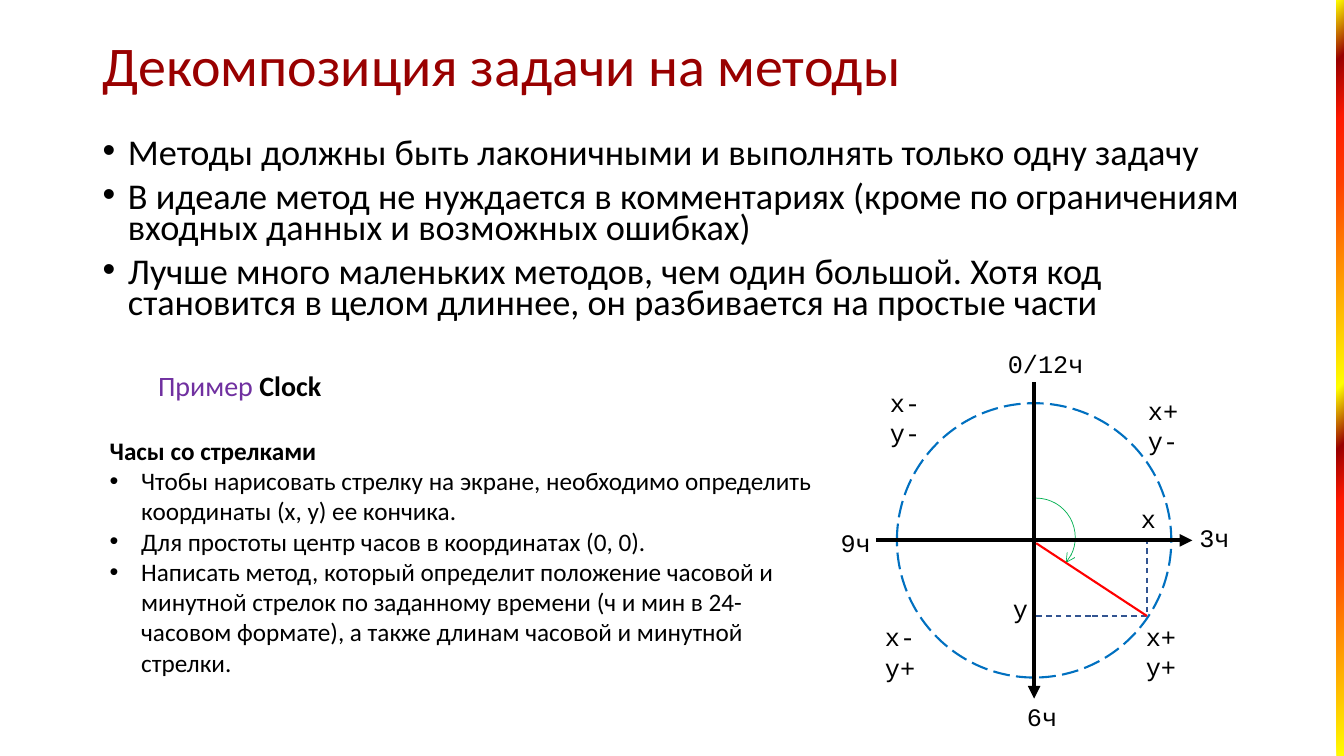
from dataclasses import dataclass
from lxml.etree import SubElement
from pptx import Presentation
from pptx.dml.color import RGBColor
from pptx.enum.dml import MSO_LINE
from pptx.enum.shapes import MSO_CONNECTOR, MSO_SHAPE
from pptx.enum.text import MSO_ANCHOR, MSO_AUTO_SIZE, PP_ALIGN
from pptx.oxml import parse_xml
from pptx.oxml.ns import nsdecls, qn
from pptx.util import Pt


@dataclass(frozen=True)
class Theme:
    sans: str = "Calibri"
    mono: str = "Courier New"
    head: float = 40
    list: float = 25.9
    lead: float = 20
    text: float = 18
    black: str = "000000"
    wine: str = "990000"
    violet: str = "7030A0"
    blue: str = "0070C0"
    navy: str = "325491"
    red: str = "FF0000"
    green: str = "00B050"
    flame: tuple = ((0, "FFFF00"), (27, "FF3D00"), (34, "FF1900"),
                    (41, "990000"), (49, "FFFF00"), (76, "FF3D00"),
                    (84, "FF1900"), (92, "990000"), (100, "FFFF00"))


theme = Theme()


def write(frame, rows, size, name=theme.sans, form=None, indent=0):
    frame.word_wrap = True
    for i, row in enumerate(rows):
        par = frame.paragraphs[0] if i == 0 else frame.add_paragraph()
        for key, value in (form or {}).items():
            setattr(par, key, value)
        if i == 0:
            par.space_before = Pt(0)
        words, color, bold, dot = row[0]
        if dot:
            props = par._p.get_or_add_pPr()
            props.set("marL", str(Pt(indent)))
            props.set("indent", str(-Pt(indent)))
            SubElement(props, qn("a:buFont"), typeface="Arial")
            SubElement(props, qn("a:buChar"), char="•")
        for words, color, bold, dot in row:
            run = par.add_run()
            run.text = words
            style = {"size": Pt(size), "name": name, "bold": bold}
            for key, value in style.items():
                setattr(run.font, key, value)
            run.font.color.rgb = RGBColor.from_string(color)


def stroke(item, color, width, dash=None, head=None):
    item.line.color.rgb = RGBColor.from_string(color)
    item.line.width = Pt(width)
    if dash:
        item.line.dash_style = dash
    if head:
        SubElement(item.line._get_or_add_ln(), qn("a:tailEnd"), type=head)


deck = Presentation()
deck.slide_width, deck.slide_height = Pt(960), Pt(540)
slide = deck.slides.add_slide(deck.slide_layouts[1])
shapes = slide.shapes

strip = shapes.add_shape(MSO_SHAPE.RECTANGLE, Pt(954.8), 0, Pt(5.2), Pt(540))
strip.shadow.inherit = False
stops = "".join(f'<a:gs pos="{pos * 1000}"><a:srgbClr val="{color}"/></a:gs>'
                for pos, color in theme.flame)
strip._element.spPr.insert(2, parse_xml(
    f'<a:gradFill {nsdecls("a")}><a:gsLst>{stops}</a:gsLst>'
    '<a:lin ang="13500000" scaled="0"/></a:gradFill>'))
strip.line.fill.background()

title, body = shapes.title, slide.placeholders[1]
for holder, top, height in ((title, 10.8, 76.3), (body, 97.2, 141.1)):
    place = {"left": 66.2, "top": top, "width": 828, "height": height}
    for key, value in place.items():
        setattr(holder, key, Pt(value))
    holder.text_frame.auto_size = MSO_AUTO_SIZE.NONE
title.text_frame.vertical_anchor = MSO_ANCHOR.MIDDLE
write(title.text_frame,
      [[("Декомпозиция задачи на методы", theme.wine, False, False)]],
      theme.head, form={"alignment": PP_ALIGN.LEFT, "line_spacing": 0.9})

rules = [
    "Методы должны быть лаконичными и выполнять только одну задачу",
    "В идеале метод не нуждается в комментариях (кроме по ограничениям "
    "входных данных и возможных ошибках)",
    "Лучше много маленьких методов, чем один большой. Хотя код становится "
    "в целом длиннее, он разбивается на простые части",
]
write(body.text_frame, [[(rule, theme.black, False, True)] for rule in rules],
      theme.list, form={"line_spacing": 0.7, "space_before": Pt(10)}, indent=18)

mid_x, mid_y, reach, radius, turn = 738.7, 386, 113, 98, 28
tip_x, tip_y = mid_x + 80.6, mid_y + 54

rounds = (
    (MSO_SHAPE.RECTANGLE, mid_x, mid_y, 80.6, 54,
     theme.navy, 1, MSO_LINE.DASH, None),
    (MSO_SHAPE.OVAL, mid_x - radius, mid_y - radius, 2 * radius, 2 * radius,
     theme.blue, 1.5, MSO_LINE.LONG_DASH, None),
    (MSO_SHAPE.ARC, mid_x + 1.4 - turn, mid_y - 2.2 - turn, 2 * turn, 2 * turn,
     theme.green, 0.5, None, "arrow"),
)
for kind, left, top, width, height, color, weight, dash, head in rounds:
    shape = shapes.add_shape(kind, Pt(left), Pt(top), Pt(width), Pt(height))
    shape.shadow.inherit = False
    shape.fill.background()
    if kind == MSO_SHAPE.ARC:
        shape.adjustments[0], shape.adjustments[1] = 162, 24.431
    stroke(shape, color, weight, dash, head)

lines = (
    (mid_x - reach, mid_y, mid_x + reach, mid_y, theme.black, 3, "triangle"),
    (mid_x, mid_y - reach, mid_x, mid_y + reach, theme.black, 3, "triangle"),
    (mid_x + 1.4, mid_y + 2, tip_x, tip_y, theme.red, 1.5, None),
)
for x1, y1, x2, y2, color, weight, head in lines:
    line = shapes.add_connector(MSO_CONNECTOR.STRAIGHT,
                                Pt(x1), Pt(y1), Pt(x2), Pt(y2))
    stroke(line, color, weight, head=head)
    SubElement(line._element.spPr, qn("a:effectLst"))

tasks = [
    "Чтобы нарисовать стрелку на экране, необходимо определить координаты "
    "(x, y) ее кончика.",
    "Для простоты центр часов в координатах (0, 0).",
    "Написать метод, который определит положение часовой и минутной стрелок "
    "по заданному времени (ч и мин в 24-часовом формате), а также длинам "
    "часовой и минутной стрелки.",
]
notes = [
    (text, left, top, width, height, theme.text, theme.mono)
    for text, left, top, width, height in (
        ("x", 807.8, 355.7, 38, 29), ("y", 716.4, 420.5, 38, 29),
        ("x+y+", 811.4, 440, 38, 51), ("x+y-", 812.9, 278.6, 38, 51),
        ("x-y-", 628.6, 272.9, 38, 51), ("x-y+", 625, 440.6, 38, 51),
        ("0/12ч", 712.8, 245.5, 70.6, 29), ("3ч", 849.6, 369.4, 70.6, 29),
        ("9ч", 593.3, 373, 70.6, 29), ("6ч", 726.5, 497.5, 70.6, 29))
]
blocks = [([[(text, theme.black, False, False)]], *rest)
          for text, *rest in notes]
blocks += [
    ([[("Пример ", theme.violet, False, False),
       ("Clock", theme.black, True, False)]],
     105.8, 260, 538.6, 31.7, theme.lead, theme.sans),
    ([[("Часы со стрелками", theme.black, True, False)]]
     + [[(task, theme.black, False, True)] for task in tasks],
     71.3, 307.4, 516.2, 181.4, theme.text, theme.sans),
]
for rows, left, top, width, height, size, name in blocks:
    box = shapes.add_textbox(Pt(left), Pt(top), Pt(width), Pt(height))
    write(box.text_frame, rows, size, name, indent=22.5)
    box.text_frame.auto_size = MSO_AUTO_SIZE.SHAPE_TO_FIT_TEXT

deck.save("out.pptx")
